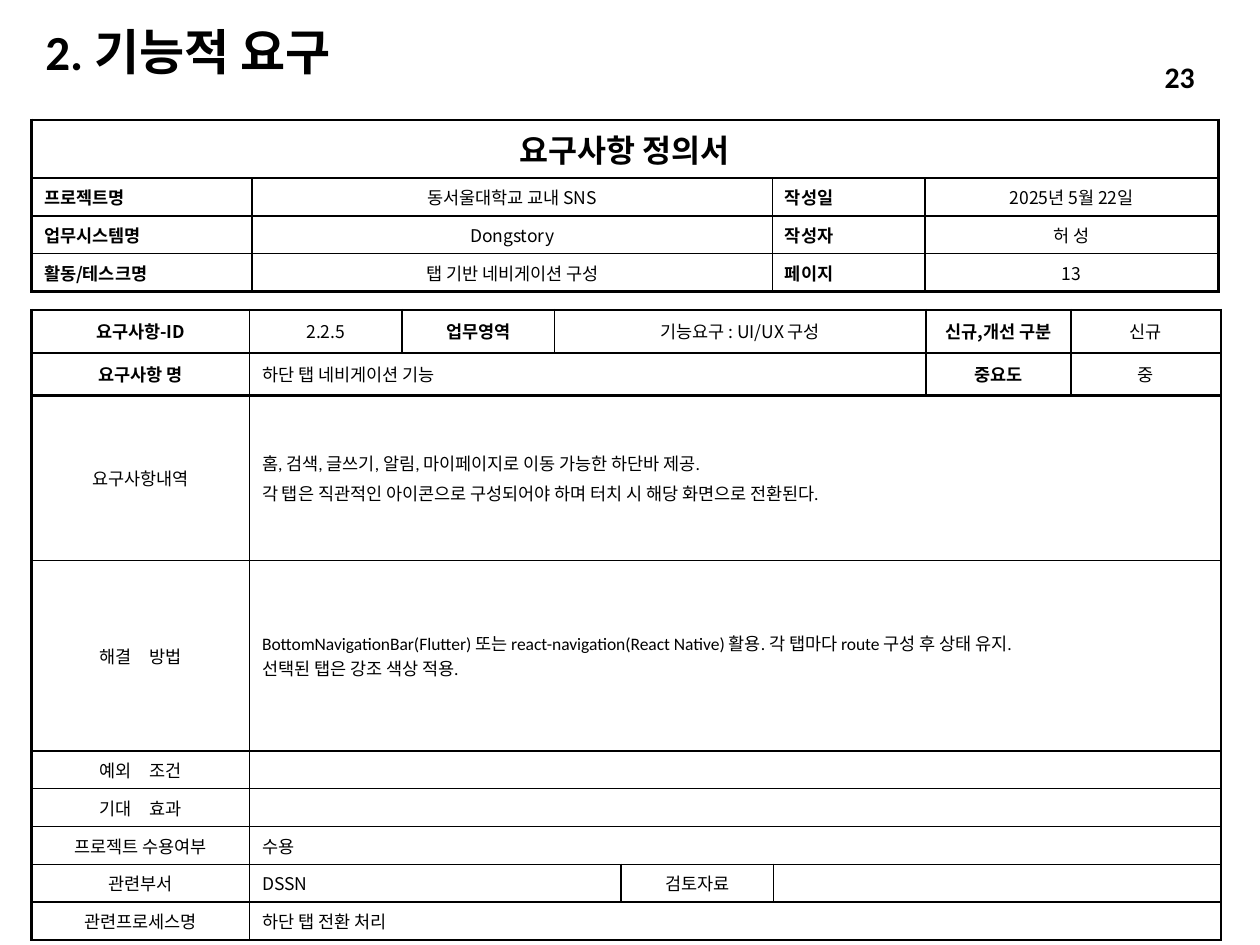
from lxml.etree import SubElement
from pptx import Presentation
from pptx.dml.color import RGBColor
from pptx.enum.text import MSO_ANCHOR as ANCHOR, PP_ALIGN as ALIGN
from pptx.oxml.ns import qn
from pptx.util import Inches, Pt

INK = "000000"
LATIN, KOREAN = "Calibri", "Noto Sans CJK KR"
THIN, THICK = 1, 1.5

# Cell styles: text format by kind
STYLES = {
    "title": dict(size=18, bold=True, align=ALIGN.CENTER),
    "key": dict(bold=True, align=ALIGN.JUSTIFY),
    "head": dict(bold=True, align=ALIGN.CENTER),
    "mid": dict(align=ALIGN.CENTER),
    "left": dict(),
    "spaced": dict(font=LATIN, before=3),
    "body": dict(font=LATIN),
}

# Tables: each cell is (text, style, columns spanned)
HEADER = dict(
    left=0.25, top=0.95, anchor=ANCHOR.TOP, thick_lines={0, 4},
    cols=[1.75, 4.13, 1.21, 2.33], heights=[0.46] + [0.27] * 3,
    rows=[
        [("요구사항 정의서", "title", 4)],
        [("프로젝트명", "key", 1), ("동서울대학교 교내 SNS", "mid", 1),
         ("작성일", "key", 1), ("2025년 5월 22일", "mid", 1)],
        [("업무시스템명", "key", 1), ("Dongstory", "mid", 1),
         ("작성자", "key", 1), ("허 성", "mid", 1)],
        [("활동/테스크명", "key", 1), ("탭 기반 네비게이션 구성", "mid", 1),
         ("페이지", "key", 1), ("13", "mid", 1)],
    ])
REQUIREMENT = dict(
    left=0.25, top=2.46, anchor=ANCHOR.MIDDLE, thick_lines={0, 1, 2, 9},
    cols=[1.73, 1.21, 1.21, 0.53, 1.21, 1.21, 1.15, 1.19],
    heights=[0.34, 0.34, 1.31, 1.51] + [0.27] * 5,
    rows=[
        [("요구사항-ID", "head", 1), ("2.2.5", "mid", 1), ("업무영역", "head", 1),
         ("기능요구 : UI/UX 구성", "mid", 3), ("신규,개선 구분", "head", 1), ("신규", "mid", 1)],
        [("요구사항 명", "head", 1), ("하단 탭 네비게이션 기능", "left", 5),
         ("중요도", "head", 1), ("중", "mid", 1)],
        [("요구사항내역", "mid", 1),
         ("홈, 검색, 글쓰기, 알림, 마이페이지로 이동 가능한 하단바 제공.\n"
          "각 탭은 직관적인 아이콘으로 구성되어야 하며 터치 시 해당 화면으로 전환된다.", "spaced", 7)],
        [("해결　방법", "mid", 1),
         ("BottomNavigationBar(Flutter) 또는 react-navigation(React Native) 활용. "
          "각 탭마다 route 구성 후 상태 유지.\n선택된 탭은 강조 색상 적용.", "body", 7)],
        [("예외　조건", "mid", 1), ("", "left", 7)],
        [("기대　효과", "mid", 1), ("", "left", 7)],
        [("프로젝트 수용여부", "mid", 1), ("수용", "left", 7)],
        [("관련부서", "mid", 1), ("DSSN", "left", 3), ("검토자료", "mid", 1), ("", "left", 3)],
        [("관련프로세스명", "mid", 1), ("하단 탭 전환 처리", "left", 7)],
    ])


def color(value):
    return RGBColor.from_string(value)


def write(tf, text, font=KOREAN, size=10, bold=False, align=ALIGN.LEFT, before=0, line=None):
    """Fill a text frame, one paragraph per line of text."""
    for i, words in enumerate(text.split("\n")):
        p = tf.paragraphs[0] if i == 0 else tf.add_paragraph()
        p.alignment = align
        if line:
            p.line_spacing = line
        if i and before:
            p.space_before = Pt(before)
        if not words:
            p.font.size = Pt(size)
            SubElement(p._p, qn("a:endParaRPr"), sz=str(size * 100))
            continue
        r = p.add_run()
        r.text = words
        r.font.name, r.font.size, r.font.bold = font, Pt(size), bold
        r.font.color.rgb = color(INK)
        SubElement(r._r.get_or_add_rPr(), qn("a:ea"), typeface=KOREAN)


def set_borders(cell, **widths):
    """Draw the given sides (L, R, T, B) in points; they precede the fill."""
    tc_pr = cell._tc.get_or_add_tcPr()
    for i, side in enumerate(s for s in "LRTB" if s in widths):
        ln = SubElement(tc_pr, qn(f"a:ln{side}"), w=str(Pt(widths[side])))
        SubElement(SubElement(ln, qn("a:solidFill")), qn("a:srgbClr"), val=INK)
        tc_pr.insert(i, ln)


def add_grid(slide, left, top, anchor, thick_lines, cols, heights, rows):
    frame = slide.shapes.add_table(len(heights), len(cols), Inches(left), Inches(top),
                                   Inches(sum(cols)), Inches(sum(heights)))
    table = frame.table
    table.first_row = table.horz_banding = False
    for column, width in zip(table.columns, cols):
        column.width = Inches(width)
    for row, height in zip(table.rows, heights):
        row.height = Inches(height)

    def across(line):
        return THICK if line in thick_lines else THIN

    def down(line):
        return THICK if line in (0, len(cols)) else THIN

    for y, row in enumerate(rows):
        x = 0
        for text, style, span in row:
            end = x + span
            cell = table.cell(y, x)
            if span > 1:
                cell.merge(table.cell(y, end - 1))
            cell.vertical_anchor = anchor
            write(cell.text_frame, text, **STYLES[style])
            for c in range(x, end):
                sides = dict(T=across(y), B=across(y + 1))
                if c == x:
                    sides["L"] = down(x)
                if c in (x, end - 1):
                    sides["R"] = down(end)
                part = table.cell(y, c)
                part.fill.background()
                set_borders(part, **sides)
            x = end


def main():
    prs = Presentation()
    prs.slide_width, prs.slide_height = Inches(10), Inches(7.5)
    slide = prs.slides.add_slide(prs.slide_layouts[5])

    # Heading
    title = slide.shapes.title
    title.left, title.top = Inches(0.26), Inches(0.21)
    title.width, title.height = Inches(5.36), Inches(0.44)
    title.text_frame.vertical_anchor = ANCHOR.MIDDLE
    write(title.text_frame, "2. 기능적 요구", font=LATIN, size=28, bold=True, line=0.9)

    # Requirement sheet
    for grid in (REQUIREMENT, HEADER):
        add_grid(slide, **grid)

    # Page number
    box = slide.shapes.add_textbox(Inches(7.96), Inches(0.41), Inches(1.62), Inches(0.4))
    tf = box.text_frame
    tf.word_wrap = True
    tf.vertical_anchor = ANCHOR.MIDDLE
    write(tf, "23", font=LATIN, size=17, bold=True, align=ALIGN.RIGHT)

    prs.save("out.pptx")


if __name__ == "__main__":
    main()
